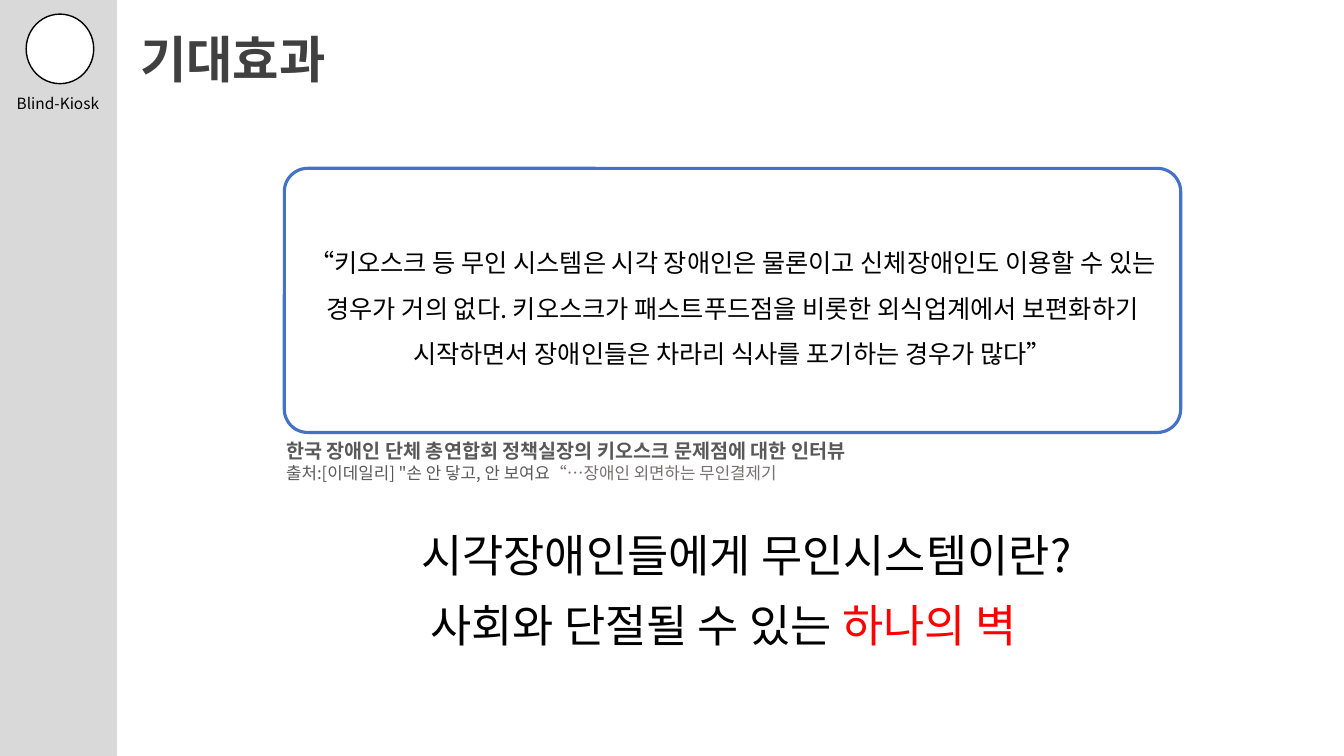
from pptx import Presentation
from pptx.dml.color import RGBColor
from pptx.enum.shapes import MSO_SHAPE
from pptx.enum.text import MSO_ANCHOR, MSO_AUTO_SIZE, PP_ALIGN
from pptx.oxml.ns import qn
from pptx.util import Inches, Pt
from lxml.etree import SubElement

FONT = "Noto Sans CJK KR"
HUES = {"black": "000000", "white": "FFFFFF", "rail": "D9D9D9", "blue": "4472C4",
        "title": "404040", "note": "595959", "pale": "767171", "red": "FF0000"}


def write(para, runs, size, bold=False, align=PP_ALIGN.LEFT):
    """Fill a paragraph with (text, hue) runs in the deck font."""
    para.alignment = align
    for text, hue in runs:
        run = para.add_run()
        run.text = text
        font = run.font
        font.name, font.size, font.bold = FONT, Pt(size), bold
        font.color.rgb = RGBColor.from_string(HUES[hue])
        SubElement(run._r.get_or_add_rPr(), qn("a:ea"), typeface=FONT)


def draw(kind, box, fill, line=None, width=1):
    shape = slide.shapes.add_shape(kind, *map(Inches, box))
    shape.shadow.inherit = False
    shape.fill.solid()
    shape.fill.fore_color.rgb = RGBColor.from_string(HUES[fill])
    if line:
        shape.line.color.rgb = RGBColor.from_string(HUES[line])
        shape.line.width = Pt(width)
    else:
        shape.line.fill.background()
    return shape


deck = Presentation()
deck.slide_width, deck.slide_height = Inches(13.33), Inches(7.5)
slide = deck.slides.add_slide(deck.slide_layouts[5])

# Side rail
draw(MSO_SHAPE.RECTANGLE, (0, 0, 1.16, 7.5), "rail")
draw(MSO_SHAPE.OVAL, (0.26, 0.14, 0.67, 0.69), "white", "black")

# Title
title = slide.shapes.title
title.left, title.top, title.width, title.height = map(Inches, (1.29, -0.07, 10.64, 0.9))
frame = title.text_frame
frame.vertical_anchor = MSO_ANCHOR.TOP
frame.auto_size = MSO_AUTO_SIZE.SHAPE_TO_FIT_TEXT
frame.paragraphs[0].line_spacing = 1.5
write(frame.paragraphs[0], [("기대효과", "title")], 36, True)

# Quote
quote = draw(MSO_SHAPE.ROUNDED_RECTANGLE, (2.82, 1.67, 8.89, 2.62), "white", "blue", 2.25)
quote.adjustments[0] = 0.088
frame = quote.text_frame
frame.word_wrap = True
frame.vertical_anchor = MSO_ANCHOR.MIDDLE
frame.paragraphs[0].line_spacing = 1.5
write(frame.paragraphs[0], [(
    "“키오스크 등 무인 시스템은 시각 장애인은 물론이고 신체장애인도 이용할 수 있는 "
    "경우가 거의 없다. 키오스크가 패스트푸드점을 비롯한 외식업계에서 보편화하기 "
    "시작하면서 장애인들은 차라리 식사를 포기하는 경우가 많다”", "black")],
    18, align=PP_ALIGN.CENTER)

# Text boxes: place, indent level, alignment, then (runs, size, bold) per paragraph
LEFT, MID = PP_ALIGN.LEFT, PP_ALIGN.CENTER
notes = [
    ((-0.1, 0.88, 1.35, 0.29), 0, MID, [([("Blind-Kiosk", "black")], 11, False)]),
    ((1.74, 4.31, 9.97, 0.74), 2, LEFT, [
        ([("한국 장애인 단체 총연합회 정책실장의 키오스크 문제점에 대한 인터뷰", "note")], 14, True),
        ([("출처:[이데일리] \"손 안 닿고, 안 보여요", "note"),
          ("“…장애인 외면하는 무인결제기", "pale")], 12, False)]),
    ((4.08, 5.19, 6.92, 0.64), 0, LEFT, [
        ([("시각장애인들에게 무인시스템이란?", "black")], 32, False)]),
    ((4.17, 5.88, 6.92, 0.64), 0, LEFT, [
        ([("사회와 단절될 수 있는 ", "black"), ("하나의 벽", "red")], 32, False)]),
]
for box, level, align, rows in notes:
    frame = slide.shapes.add_textbox(*map(Inches, box)).text_frame
    frame.word_wrap = True
    frame.auto_size = MSO_AUTO_SIZE.SHAPE_TO_FIT_TEXT
    for i, (runs, size, bold) in enumerate(rows):
        para = frame.add_paragraph() if i else frame.paragraphs[0]
        para.level = level
        write(para, runs, size, bold, align)

deck.save("out.pptx")
